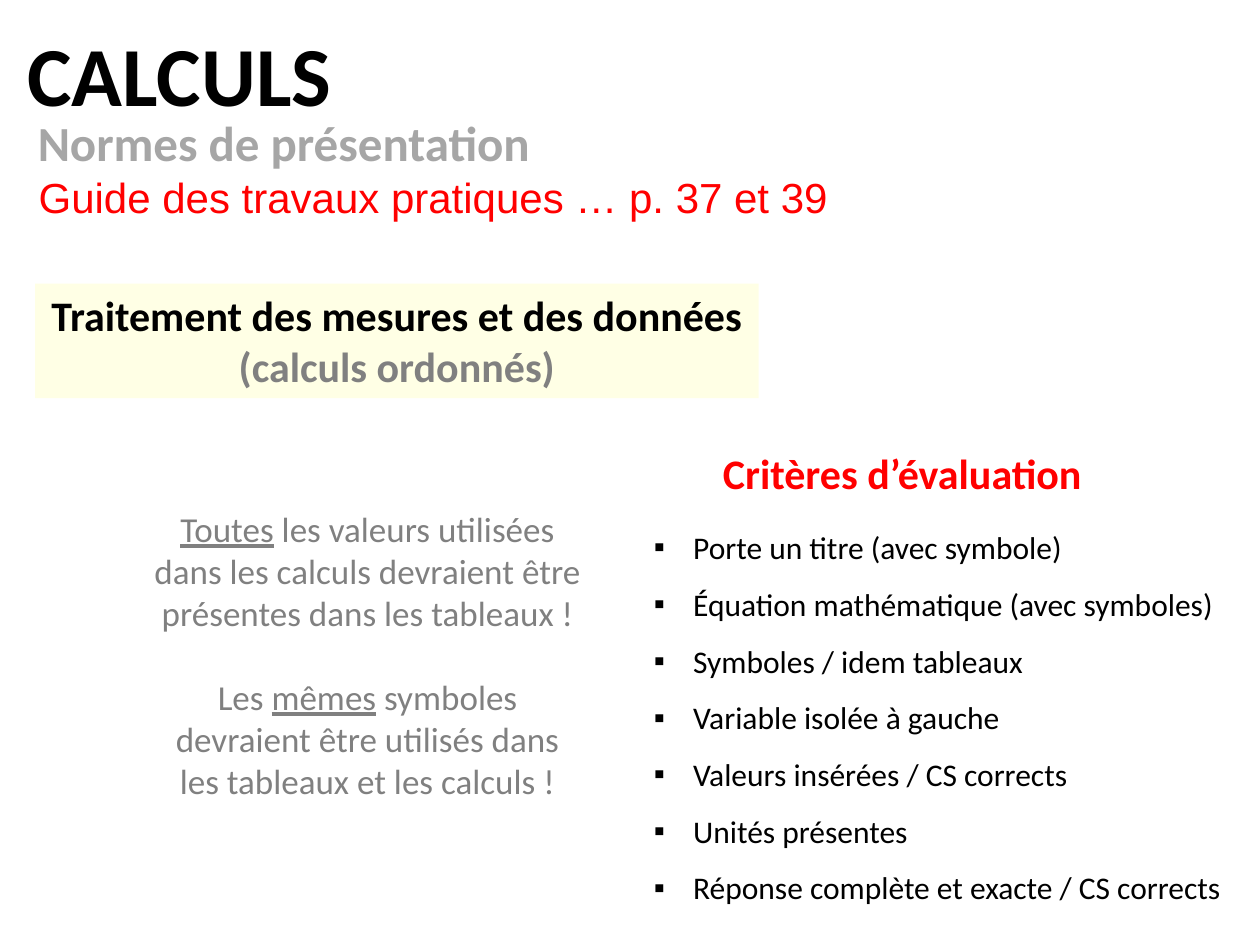
"""Build the slide on presentation rules for calculations."""
from lxml.etree import SubElement
from pptx import Presentation
from pptx.dml.color import RGBColor
from pptx.enum.shapes import MSO_SHAPE
from pptx.enum.text import MSO_ANCHOR, MSO_AUTO_SIZE, PP_ALIGN
from pptx.oxml.ns import qn
from pptx.util import Pt


def color(value):
    return RGBColor.from_string(value)


def add_text(slide, box, paragraphs, size, text_color, fill=None, wrap=False,
             font_name="Calibri", bold=False, bullet=None, **layout):
    box = [Pt(length) for length in box]
    if fill:
        shape = slide.shapes.add_shape(MSO_SHAPE.RECTANGLE, *box)
        shape.shadow.inherit = False
        shape.fill.solid()
        shape.fill.fore_color.rgb = color(fill)
        shape.line.fill.background()
    else:
        shape = slide.shapes.add_textbox(*box)
    frame = shape.text_frame
    frame_format = {"word_wrap": wrap, "auto_size": MSO_AUTO_SIZE.SHAPE_TO_FIT_TEXT,
                    "vertical_anchor": MSO_ANCHOR.TOP}
    for name, value in frame_format.items():
        setattr(frame, name, value)
    font_format = {"name": font_name, "size": Pt(size), "bold": bold}
    for index, runs in enumerate(paragraphs):
        paragraph = frame.add_paragraph() if index else frame.paragraphs[0]
        paragraph_format = {"alignment": PP_ALIGN.LEFT, **layout}
        if index == 0:
            paragraph_format["space_before"] = Pt(0)
        for name, value in paragraph_format.items():
            setattr(paragraph, name, value)
        if bullet:
            properties = paragraph._p.get_or_add_pPr()
            properties.set("marL", str(Pt(22.5)))
            properties.set("indent", str(Pt(-22.5)))
            SubElement(properties, qn("a:buFont"), typeface="Arial")
            SubElement(properties, qn("a:buChar"), char=bullet)
        for text, run_format in runs:
            run = paragraph.add_run()
            run.text = text
            for name, value in {**font_format, **run_format}.items():
                setattr(run.font, name, value)
            run.font.color.rgb = color(run_format_colors.get(text, text_color))


run_format_colors = {"(calculs ordonnés)": "808080"}
underlined = {"underline": True}
criteria = [
    "Porte un titre (avec symbole)",
    "Équation mathématique (avec symboles)",
    "Symboles / idem tableaux",
    "Variable isolée à gauche",
    "Valeurs insérées / CS corrects",
    "Unités présentes",
    "Réponse complète et exacte / CS corrects",
]
reminders = [
    [("Toutes", underlined),
     (" les valeurs utilisées dans les calculs devraient être présentes dans les tableaux !", {})],
    [("Les ", {}), ("mêmes", underlined),
     (" symboles devraient être utilisés dans les tableaux et les calculs !", {})],
]

presentation = Presentation()
presentation.slide_width = Pt(720)
presentation.slide_height = Pt(540)
slide = presentation.slides.add_slide(presentation.slide_layouts[6])

add_text(slide, (15, 94.5, 470, 65.5), [[("Guide des travaux pratiques … p. 37 et 39", {})]],
         24, "FF0000", font_name="Arial")
add_text(slide, (14.5, 60.5, 299.5, 41), [[("Normes de présentation", {})]],
         28, "A6A6A6", fill="FFFFFF", bold=True)
add_text(slide, (8.5, 9.5, 190, 65.5), [[("CALCULS", {})]], 48, "000000", bold=True)
add_text(slide, (20, 162, 413.5, 65.5),
         [[("Traitement des mesures et des données", {})], [("(calculs ordonnés)", {})]],
         24, "000000", fill="FFFFE5", bold=True, alignment=PP_ALIGN.CENTER)
add_text(slide, (366.5, 287.5, 342.5, 238), [[(criterion, {})] for criterion in criteria],
         18, "000000", bullet="▪", line_spacing=1.5)
add_text(slide, (406, 252, 222, 36), [[("Critères d’évaluation", {})]], 24, "FF0000", bold=True)
add_text(slide, (80.5, 286.5, 259, 177), reminders, 20, "808080", wrap=True,
         alignment=PP_ALIGN.CENTER, space_before=Pt(24))

presentation.save("out.pptx")
